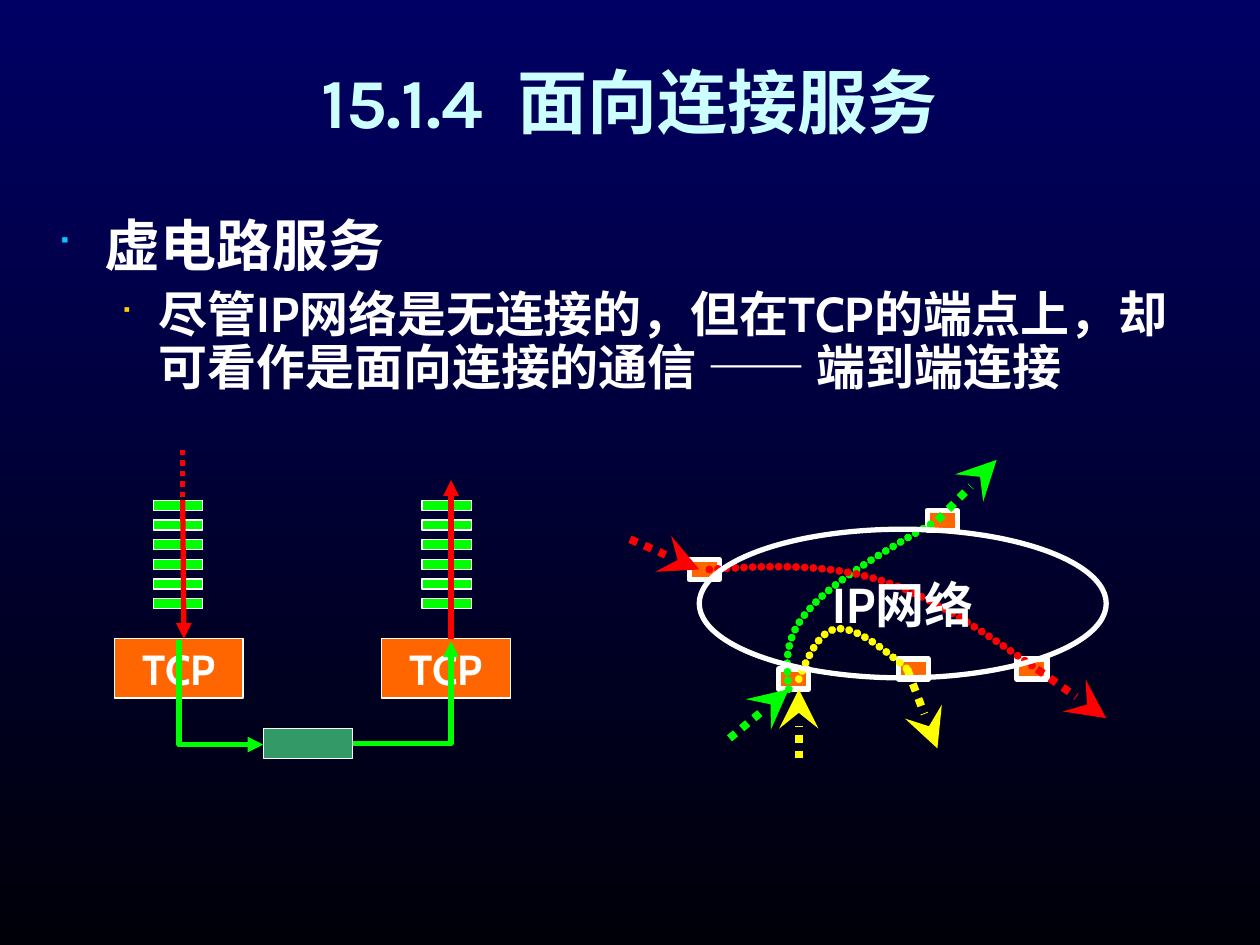
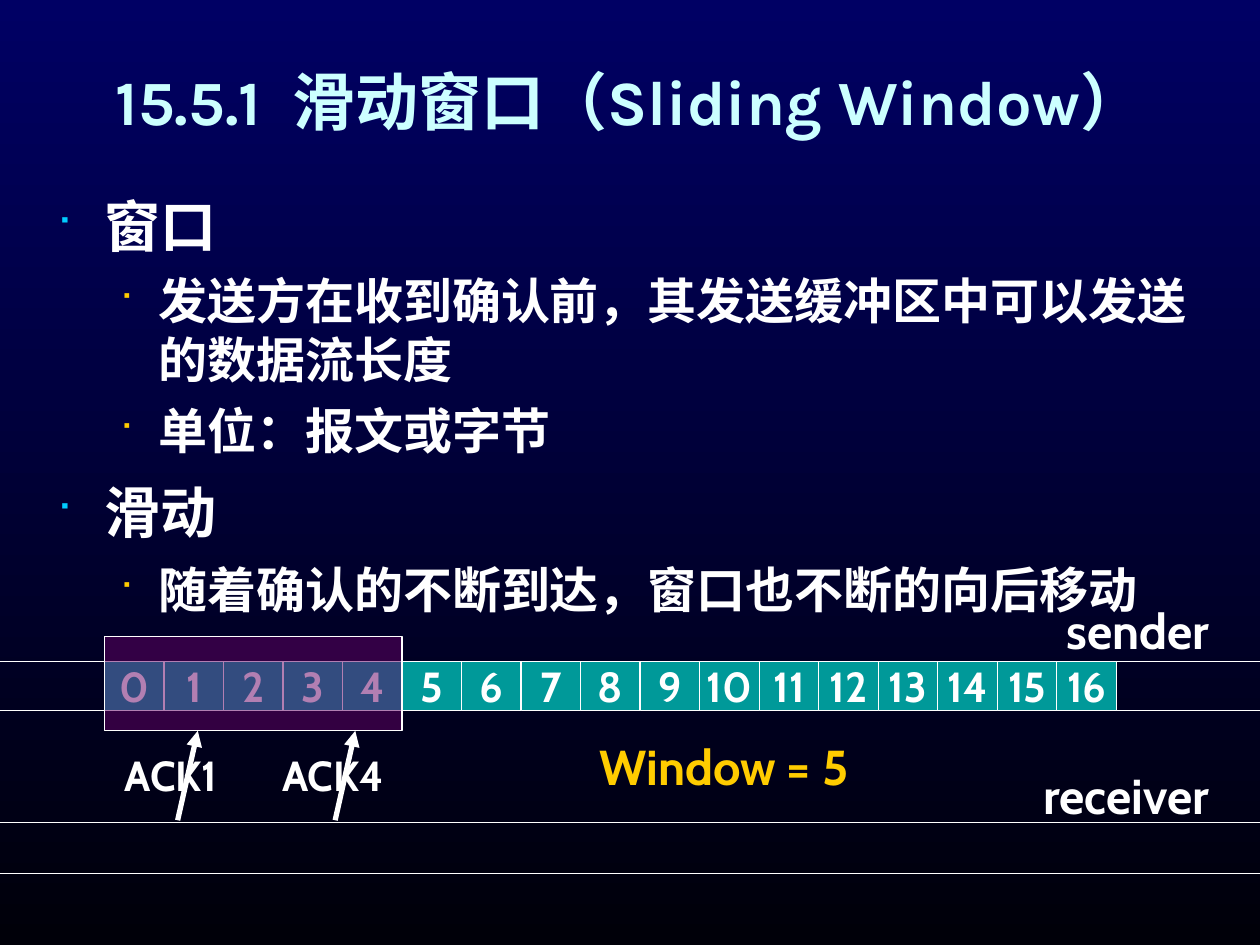
import lxml.etree
import pptx
import pptx.dml.color
import pptx.enum.shapes
import pptx.enum.text
import pptx.oxml.ns
import pptx.util

Inches, Pt = pptx.util.Inches, pptx.util.Pt
RGB = pptx.dml.color.RGBColor
SHAPE = pptx.enum.shapes.MSO_SHAPE
CONNECTOR = pptx.enum.shapes.MSO_CONNECTOR
ALIGN = pptx.enum.text.PP_ALIGN
ANCHOR = pptx.enum.text.MSO_ANCHOR
AUTO_SIZE = pptx.enum.text.MSO_AUTO_SIZE
qn = pptx.oxml.ns.qn

NAVY, NIGHT = RGB(0, 0, 0x64), RGB(0, 0, 0x09)
WHITE, PALE_CYAN = RGB(0xFF, 0xFF, 0xFF), RGB(0xCC, 0xFF, 0xFF)
SKY, GOLD = RGB(0, 0xCC, 0xFF), RGB(0xFF, 0xCC, 0)
RED, GREEN, YELLOW = RGB(0xFF, 0, 0), RGB(0, 0xFF, 0), RGB(0xFF, 0xFF, 0)
ORANGE, SEA_GREEN = RGB(0xFF, 0x66, 0), RGB(0x33, 0x99, 0x66)
TEAL, PURPLE = RGB(0, 0x99, 0x99), RGB(0x66, 0, 0x66)
TITLE_FONT, BODY_FONT, BULLET_FONT = "Karla", "Cabin", "Wingdings"

# Per outline level: size, bullet colour, left margin, hanging indent
LEVELS = [(32, SKY, 0.38, 0.38), (28, GOLD, 0.81, 0.31)]

# Slide 1: connection-oriented service
SERVICE_TITLE = ("15.1.4", "面向连接服务", 40)
SERVICE_POINTS = [  # level, space before, text
    (0, 12, "虚电路服务"),
    (1, 7, "尽管IP网络是无连接的，但在TCP的端点上，却可看作是面向连接的通信 —— 端到端连接"),
]
TCP_ENDS = [  # left of TCP box, left of segments, flow start, flow end, arrow
    (0.91, 1.22, (1.45, 3.97), (1.46, 5.07), {"tail": "triangle"}),
    (3.03, 3.35, (3.58, 3.81), (3.58, 5.07), {"head": "triangle"}),
]
SEGMENT_COUNT, SEGMENT_TOP, SEGMENT_PITCH = 6, 3.97, 0.78 / 5
ROUTERS = [(5.47, 4.44), (7.13, 5.23), (7.36, 4.05), (8.07, 5.23), (6.18, 5.31)]
ACCESS_ARROWS = [
    (GREEN, (5.79, 5.86), (6.26, 5.47)), (GREEN, (7.44, 4.13), (7.91, 3.65)),
    (RED, (5, 4.28), (5.55, 4.52)), (RED, (8.23, 5.31), (8.78, 5.7)),
    (YELLOW, (6.34, 6.02), (6.34, 5.47)), (YELLOW, (7.2, 5.31), (7.44, 5.94)),
]
ROUTES = [  # two cubic curves each, sharing the middle point
    (GREEN, [(6.26, 5.47), (6.24, 5.26), (6.22, 5.06), (6.42, 4.84),
             (6.61, 4.61), (7.03, 4.37), (7.44, 4.13)]),
    (RED, [(5.63, 4.52), (6.08, 4.49), (6.54, 4.47), (6.97, 4.6),
           (7.4, 4.73), (7.81, 5.02), (8.23, 5.31)]),
    (YELLOW, [(6.34, 5.39), (6.42, 5.19), (6.51, 5), (6.65, 4.99),
              (6.8, 4.98), (7, 5.14), (7.2, 5.31)]),
]

# Slide 2: sliding window
WINDOW_TITLE = ("15.5.1", "滑动窗口（Sliding Window）", 36)
WINDOW_POINTS = [
    (0, 12, "窗口"),
    (1, 7, "发送方在收到确认前，其发送缓冲区中可以发送的数据流长度"),
    (1, 7, "单位：报文或字节"),
    (0, 10, "滑动"),
    (1, 8.8, "随着确认的不断到达，窗口也不断的向后移动"),
]
RAILS = [5.64, 5.25, 6.93, 6.53]
LABELS = [  # text, box, size, colour
    ("sender", (8.37, 4.72, 1.53, 0.57), 28, WHITE),
    ("receiver", (8.18, 6.03, 1.78, 0.57), 28, WHITE),
    ("Window = 5", (4.66, 5.8, 2.41, 0.57), 28, GOLD),
]
CELL_COUNT, CELL_LEFT, CELL_TOP, CELL_H = 17, 0.83, 5.25, 0.39
CELL_W = (8.86 - CELL_LEFT) / CELL_COUNT
WINDOW_SIZE = 5
ACKS = [("ACK1", 0.89), ("ACK4", 2.14)]


def add_xml(parent, tag, **attrs):
    return lxml.etree.SubElement(parent, qn(tag), attrs)


def write(p, text, size, color=WHITE, font=BODY_FONT):
    r = p.add_run()
    r.text = text
    for name, value in {"size": Pt(size), "bold": True, "name": font}.items():
        setattr(r.font, name, value)
    r.font.color.rgb = color
    return r


def set_line(s, color, width, dash=None, head=None, tail=None, arrow_size="med"):
    s.line.color.rgb = color
    s.line.width = Pt(width)
    ln = s._element.spPr.find(qn("a:ln"))
    if dash == "dots":
        ln.set("cap", "rnd")
        add_xml(add_xml(ln, "a:custDash"), "a:ds", d="100000", sp="10000")
    elif dash:
        add_xml(ln, "a:prstDash", val=dash)
    for tag, kind in (("a:headEnd", head), ("a:tailEnd", tail)):
        if kind:
            add_xml(ln, tag, type=kind, w=arrow_size, len=arrow_size)


def add_box(slide, box, fill, width=0.75, text=None, size=24, shape=SHAPE.RECTANGLE):
    s = slide.shapes.add_shape(shape, *map(Inches, box))
    s.shadow.inherit = False
    if fill is None:
        s.fill.background()
    else:
        s.fill.solid()
        s.fill.fore_color.rgb = fill
    set_line(s, WHITE, width)
    if text:
        tf = s.text_frame
        tf.word_wrap = False
        tf.vertical_anchor = ANCHOR.MIDDLE
        tf.paragraphs[0].alignment = ALIGN.CENTER
        write(tf.paragraphs[0], text, size)
    return s


def add_line(slide, start, end, color, width, kind=CONNECTOR.STRAIGHT, **style):
    c = slide.shapes.add_connector(kind, *map(Inches, start + end))
    set_line(c, color, width, **style)
    add_xml(c._element.spPr, "a:effectLst")
    return c


def add_corner(slide, start, end, rotation=0):
    """Connector with a single right-angle bend."""
    c = add_line(slide, start, end, GREEN, 3, CONNECTOR.ELBOW, tail="triangle")
    c._element.spPr.find(qn("a:prstGeom")).set("prst", "bentConnector2")
    c._element.spPr.find(qn("a:xfrm")).set("rot", str(rotation * 60000))


def add_route(slide, color, knots):
    """Dotted chain of cubic curves; every three line segments become one curve."""
    points = [tuple(map(Inches, knot)) for knot in knots]
    builder = slide.shapes.build_freeform(*points[0])
    builder.add_line_segments(points[1:], close=False)
    s = builder.convert_to_shape()
    segments = list(s._element.iter(qn("a:lnTo")))
    outline = segments[0].getparent()
    for k in range(0, len(segments), 3):
        curve = add_xml(outline, "a:cubicBezTo")
        for segment in segments[k:k + 3]:
            curve.append(segment[0])
            outline.remove(segment)
    s.shadow.inherit = False
    s.fill.background()
    set_line(s, color, 4.5, dash="dots")


def add_text_box(slide, box):
    tf = slide.shapes.add_textbox(*map(Inches, box)).text_frame
    tf.word_wrap = True
    return tf


def add_label(slide, text, box, size, color=WHITE):
    tf = add_text_box(slide, box)
    tf.word_wrap = False
    tf.auto_size = AUTO_SIZE.SHAPE_TO_FIT_TEXT
    write(tf.paragraphs[0], text, size, color)


def add_points(slide, points, top, line_spacing):
    tf = add_text_box(slide, (0.35, top, 9.29, 5.43))
    for i, (level, before, text) in enumerate(points):
        size, bullet, margin, hang = LEVELS[level]
        p = tf.add_paragraph() if i else tf.paragraphs[0]
        for name, value in {"level": level, "space_before": Pt(before),
                            "line_spacing": line_spacing}.items():
            setattr(p, name, value)
        pPr = p._p.get_or_add_pPr()
        pPr.set("marL", str(Inches(margin)))
        pPr.set("indent", str(-Inches(hang)))
        add_xml(add_xml(pPr, "a:buClr"), "a:srgbClr", val=str(bullet))
        add_xml(pPr, "a:buSzPct", val="65000")
        add_xml(pPr, "a:buFont", typeface=BULLET_FONT, charset="2")
        add_xml(pPr, "a:buChar", char="■")
        write(p, text, size)


def add_slide(prs, title, points, points_top, line_spacing=None):
    slide = prs.slides.add_slide(prs.slide_layouts[6])
    fill = slide.background.fill
    fill.gradient()
    fill.gradient_angle = 270
    for stop, color, position in zip(fill.gradient_stops, (NAVY, NIGHT), (0, 1)):
        stop.color.rgb = color
        stop.position = position
    number, name, size = title
    tf = add_text_box(slide, (0.35, 0.13, 9.29, 1.34))
    tf.vertical_anchor = ANCHOR.MIDDLE
    p = tf.paragraphs[0]
    p.alignment = ALIGN.CENTER
    number_run, gap, name_run = [write(p, text, size, PALE_CYAN, TITLE_FONT)
                                 for text in (number, " ", name)]
    gap.font._element.set("spc", str(size * 24))
    add_points(slide, points, points_top, line_spacing)
    return slide


def build_service_slide(prs):
    slide = add_slide(prs, SERVICE_TITLE, SERVICE_POINTS, 1.68, 0.9)
    for box_left, segment_left, start, end, arrow in TCP_ENDS:
        add_box(slide, (box_left, 5.07, 1.02, 0.47), ORANGE, text="TCP")
        for i in reversed(range(SEGMENT_COUNT)):
            top = SEGMENT_TOP + i * SEGMENT_PITCH
            add_box(slide, (segment_left, top, 0.39, 0.08), GREEN)
        add_line(slide, start, end, RED, 3, **arrow)
    add_box(slide, (2.09, 5.78, 0.71, 0.24), SEA_GREEN)
    add_line(slide, (1.45, 3.57), (1.45, 3.97), RED, 3, dash="sysDot")
    for left, top in ROUTERS:
        add_box(slide, (left, top, 0.24, 0.16), ORANGE, 3)
    for color, start, end in ACCESS_ARROWS:
        add_line(slide, start, end, color, 4.5, dash="sysDot", tail="stealth",
                 arrow_size="lg")
    for color, knots in ROUTES:
        add_route(slide, color, knots)
    add_box(slide, (5.55, 4.2, 3.23, 1.18), None, 3, "IP网络", 28, SHAPE.OVAL)
    add_corner(slide, (2.17, 5.16), (1.34, 5.83), rotation=270)
    add_corner(slide, (2.8, 5.9), (3.58, 5.09))


def build_window_slide(prs):
    slide = add_slide(prs, WINDOW_TITLE, WINDOW_POINTS, 1.47)
    for y in RAILS:
        add_line(slide, (0, y), (10, y), WHITE, 0.75)
    for label in LABELS:
        add_label(slide, *label)
    for i in range(CELL_COUNT):
        add_box(slide, (CELL_LEFT + i * CELL_W, CELL_TOP, CELL_W, CELL_H), TEAL, text=str(i))
    window = add_box(slide, (CELL_LEFT, 5.05, WINDOW_SIZE * CELL_W, 0.75), PURPLE)
    color = window._element.spPr.find(qn("a:solidFill")).find(qn("a:srgbClr"))
    add_xml(color, "a:alpha", val="50000")
    for text, left in ACKS:
        add_line(slide, (left + 0.52, 6.51), (left + 0.68, 5.8), WHITE, 3, tail="triangle")
        add_label(slide, text, (left, 5.9, 1.05, 0.5), 24)


def main():
    prs = pptx.Presentation()
    prs.slide_width, prs.slide_height = Inches(10), Inches(7.5)
    build_service_slide(prs)
    build_window_slide(prs)
    prs.save("out.pptx")


if __name__ == "__main__":
    main()
